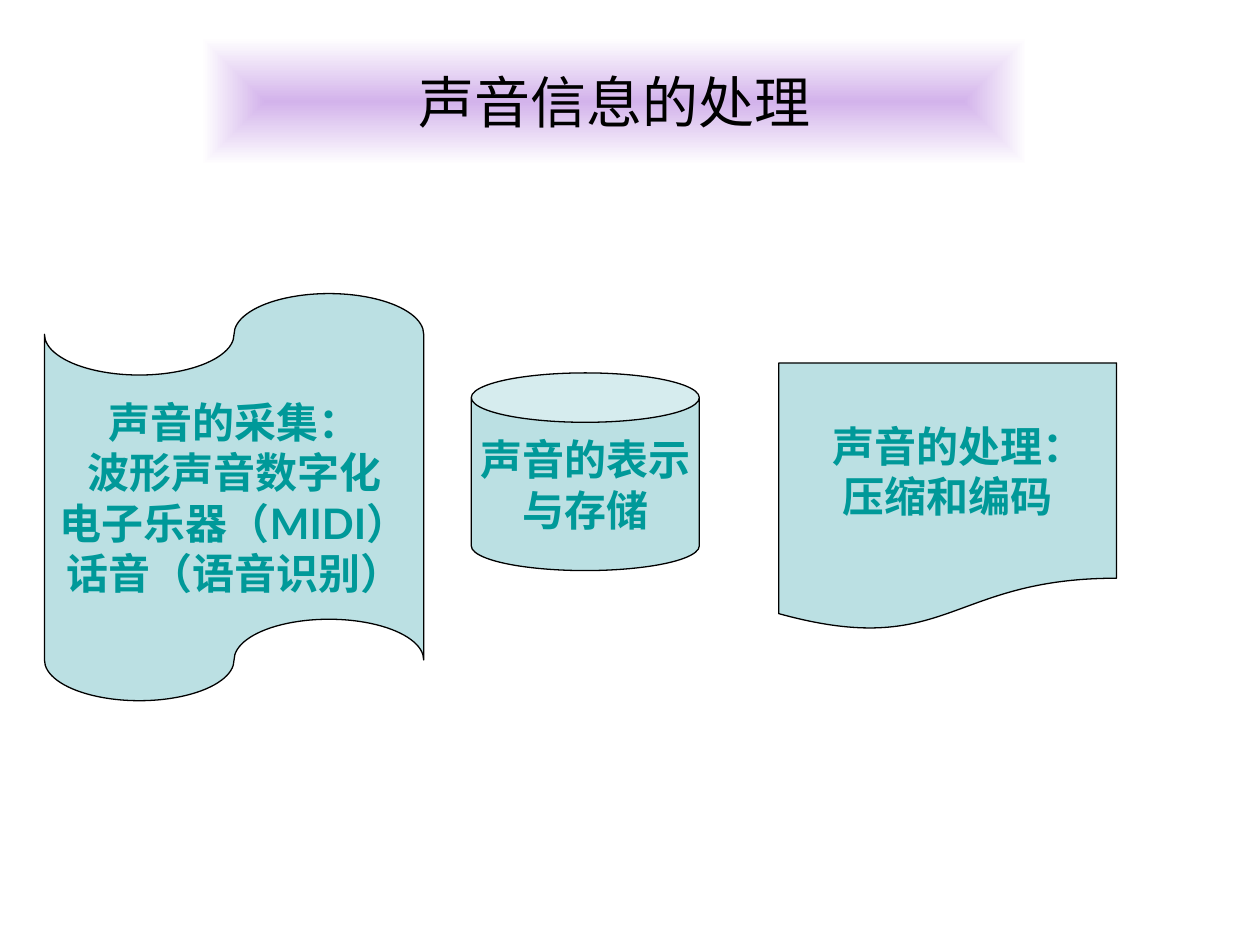
from dataclasses import dataclass

from lxml.etree import SubElement
from pptx import Presentation
from pptx.dml.color import RGBColor
from pptx.enum.shapes import MSO_SHAPE
from pptx.enum.text import MSO_ANCHOR, PP_ALIGN
from pptx.oxml.ns import qn
from pptx.util import Pt


@dataclass(frozen=True)
class Theme:
    title_font: str = "Arial"
    body_font: str = "Lato"
    title_size: int = 32
    body_size: int = 24
    line_width: float = 0.75
    black: RGBColor = RGBColor(0x00, 0x00, 0x00)
    white: RGBColor = RGBColor(0xFF, 0xFF, 0xFF)
    lilac: RGBColor = RGBColor(0xD3, 0xB3, 0xEB)
    pale_teal: RGBColor = RGBColor(0xBB, 0xE0, 0xE3)
    teal: RGBColor = RGBColor(0x00, 0x99, 0x99)


THEME = Theme()


def add_box(slide, kind, box):
    shape = slide.shapes.add_shape(kind, *(Pt(length) for length in box))
    shape.shadow.inherit = False
    shape.text_frame.vertical_anchor = MSO_ANCHOR.MIDDLE
    return shape


def write_lines(shape, lines, font_name, size, color, bold=False):
    frame = shape.text_frame
    for index, line in enumerate(lines):
        paragraph = frame.add_paragraph() if index else frame.paragraphs[0]
        paragraph.alignment = PP_ALIGN.CENTER
        run = paragraph.add_run()
        run.text = line
        run.font.name = font_name
        run.font.size = Pt(size)
        run.font.bold = bold
        run.font.color.rgb = color


def fill_from_center(shape, inner, outer):
    """Fill with a rectangular gradient that runs from the middle to the edges."""
    shape.fill.gradient()
    for stop, color, position in zip(shape.fill.gradient_stops, (inner, outer), (0, 1)):
        stop.color.rgb = color
        stop.position = position
    gradient = shape._element.spPr.find(qn("a:gradFill"))
    gradient.remove(gradient.find(qn("a:lin")))
    path = SubElement(gradient, qn("a:path"), {"path": "rect"})
    SubElement(path, qn("a:fillToRect"), {side: "50000" for side in "ltrb"})


def add_title(slide, box, text):
    shape = add_box(slide, MSO_SHAPE.RECTANGLE, box)
    fill_from_center(shape, THEME.lilac, THEME.white)
    shape.line.fill.background()
    shape.text_frame.word_wrap = True
    write_lines(shape, [text], THEME.title_font, THEME.title_size, THEME.black)


def add_stage(slide, kind, box, lines, first_indent=0):
    shape = add_box(slide, kind, box)
    shape.fill.solid()
    shape.fill.fore_color.rgb = THEME.pale_teal
    shape.line.color.rgb = THEME.black
    shape.line.width = Pt(THEME.line_width)
    shape.text_frame.word_wrap = False
    write_lines(shape, lines, THEME.body_font, THEME.body_size, THEME.teal, bold=True)
    if first_indent:
        properties = shape.text_frame.paragraphs[0]._p.get_or_add_pPr()
        properties.set("marL", str(Pt(first_indent)))
        properties.set("indent", "0")


def main():
    presentation = Presentation()
    presentation.slide_width, presentation.slide_height = Pt(720), Pt(540)
    slide = presentation.slides.add_slide(presentation.slide_layouts[6])

    add_title(slide, (115.2, 21.6, 471.6, 72.7), "声音信息的处理")
    add_stage(slide, MSO_SHAPE.FLOWCHART_DOCUMENT, (445, 207.4, 193, 153.4),
              ["声音的处理：", "压缩和编码"], first_indent=12)
    add_stage(slide, MSO_SHAPE.CAN, (269.3, 213.1, 130.3, 113),
              ["声音的表示", "与存储"])
    add_stage(slide, MSO_SHAPE.FLOWCHART_PUNCHED_TAPE, (25.4, 167.8, 216.7, 232.6),
              ["声音的采集：", "波形声音数字化", "电子乐器（MIDI）", "话音（语音识别）"])

    presentation.save("out.pptx")


if __name__ == "__main__":
    main()
